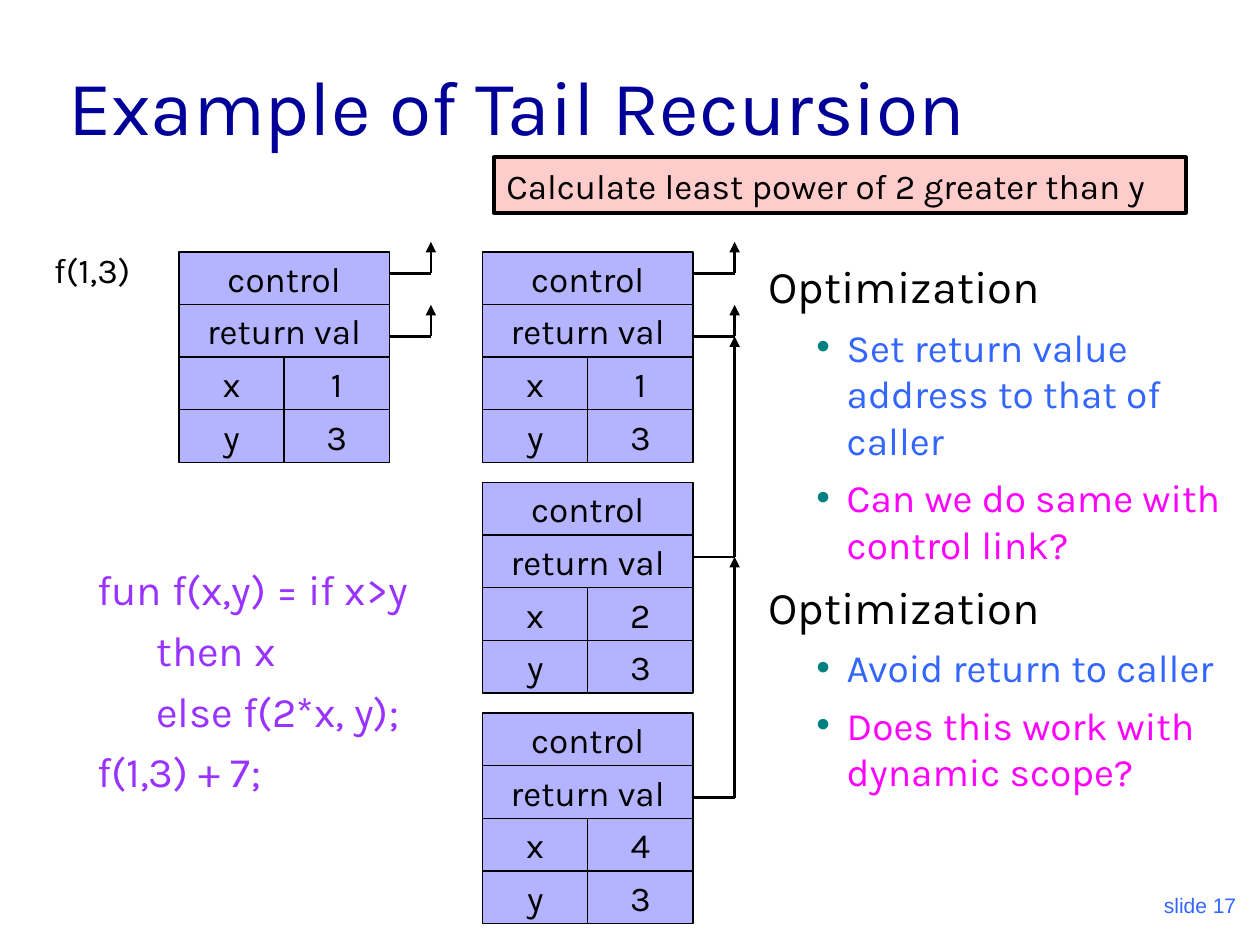
from lxml.etree import SubElement
from pptx import Presentation
from pptx.dml.color import RGBColor
from pptx.enum.shapes import MSO_CONNECTOR, MSO_SHAPE
from pptx.enum.text import MSO_ANCHOR, MSO_AUTO_SIZE, PP_ALIGN
from pptx.oxml.ns import qn
from pptx.util import Inches, Pt

BLACK, BLUE, MAGENTA, PURPLE = "000000", "3366FF", "FF00FF", "9933FF"


def rgb(color):
    return RGBColor.from_string(color)


def style(paragraph, size, color, font="Karla", align=PP_ALIGN.LEFT, before=0):
    paragraph.alignment = align
    paragraph.space_before = Pt(before)
    paragraph.font.size = Pt(size)
    paragraph.font.name = font
    paragraph.font.color.rgb = rgb(color)


def place(part, left, top, width, height):
    part.left, part.top = Inches(left), Inches(top)
    part.width, part.height = Inches(width), Inches(height)
    part.text_frame.auto_size = MSO_AUTO_SIZE.NONE


def indent(paragraph, margin, first=0.0, bullet=None):
    properties = paragraph._p.get_or_add_pPr()
    properties.set("marL", str(Inches(margin)))
    properties.set("indent", str(Inches(first)))
    if bullet:
        bullet_color = SubElement(properties, qn("a:buClr"))
        SubElement(bullet_color, qn("a:srgbClr"), val=bullet)
        SubElement(properties, qn("a:buChar"), char="•")
    else:
        SubElement(properties, qn("a:buNone"))


def paragraphs(frame, texts):
    frame.text = "\n".join(texts)
    return frame.paragraphs


def add_heading(title, left, top, width, height):
    place(title, left, top, width, height)
    title.text_frame.text = "Example of Tail Recursion"
    title.text_frame.vertical_anchor = MSO_ANCHOR.BOTTOM
    style(title.text_frame.paragraphs[0], 44, "000099")


def add_code(body, lines, left, top, width, height):
    place(body, left, top, width, height)
    code = paragraphs(body.text_frame, [text for text, _ in lines])
    for line, (_, depth) in zip(code, lines):
        indent(line, 0.5 + 0.47 * depth)
        style(line, 24, PURPLE, before=6)


def add_optimizations(body, sections, left, top, width, height):
    place(body, left, top, width, height)
    entries = [
        entry
        for idea, question in sections
        for entry in (("Optimization", BLACK), (idea, BLUE), (question, MAGENTA))
    ]
    items = paragraphs(body.text_frame, [text for text, _ in entries])
    for item, (_, color) in zip(items, entries):
        if color == BLACK:
            indent(item, 0.19, -0.19)
            style(item, 25.9, color, before=7)
        else:
            item.level = 1
            indent(item, 0.62, -0.24, "008080")
            style(item, 22.2, color, before=6)


def add_label(slide, text, left, top, width, height, size=20, color=BLACK,
              font="Karla", align=PP_ALIGN.LEFT, anchor=MSO_ANCHOR.TOP):
    label = slide.shapes.add_textbox(
        Inches(left), Inches(top), Inches(width), Inches(height))
    label.text_frame.word_wrap = True
    label.text_frame.vertical_anchor = anchor
    label.text_frame.text = text
    style(label.text_frame.paragraphs[0], size, color, font, align)


def add_box(slide, text, left, top, width, height, fill="B3B3FF",
            border=0.74, align=PP_ALIGN.CENTER):
    box = slide.shapes.add_shape(
        MSO_SHAPE.RECTANGLE, Inches(left), Inches(top), Inches(width), Inches(height))
    box.shadow.inherit = False
    box.fill.solid()
    box.fill.fore_color.rgb = rgb(fill)
    box.line.color.rgb = rgb(BLACK)
    box.line.width = Pt(border)
    box.text_frame.word_wrap = False
    box.text_frame.vertical_anchor = MSO_ANCHOR.MIDDLE
    box.text_frame.text = text
    style(box.text_frame.paragraphs[0], 20, BLACK, align=align)


def add_activation_record(slide, x, y, left, top, width, height):
    rows = [["control"], ["return val"], ["x", x], ["y", y]]
    row_height = height / len(rows)
    for row, cells in enumerate(rows):
        cell_width = width / len(cells)
        for column, text in enumerate(cells):
            add_box(slide, text, left + column * cell_width,
                    top + row * row_height, cell_width, row_height)


def add_line(slide, start, end, arrow=False):
    line = slide.shapes.add_connector(
        MSO_CONNECTOR.STRAIGHT, *(Inches(value) for value in (*start, *end)))
    line.line.color.rgb = rgb(BLACK)
    line.line.width = Pt(1.5)
    if arrow:
        SubElement(line.line._get_or_add_ln(), qn("a:tailEnd"), type="triangle")
    SubElement(line._element.spPr, qn("a:effectLst"))


def add_link(slide, left, level, target):
    corner = (left + 0.33, level)
    add_line(slide, (left, level), corner)
    add_line(slide, corner, (corner[0], target), arrow=True)


def build_slide(presentation):
    slide = presentation.slides.add_slide(presentation.slide_layouts[3])
    title, code, optimizations = slide.placeholders
    add_label(slide, "slide 17", 7.83, 6.83, 2.08, 0.5, 12, BLUE, "Arial",
              PP_ALIGN.RIGHT, MSO_ANCHOR.BOTTOM)
    add_heading(title, 0.44, 0.25, 9.06, 1)
    add_code(code, [("fun f(x,y) = if x>y", 0), ("then x", 1),
                    ("else f(2*x, y);", 1), ("f(1,3) + 7;", 0)],
             0.17, 4.42, 3.83, 2.33)
    add_optimizations(optimizations, [
        ("Set return value address to that of caller",
         "Can we do same with control link?"),
        ("Avoid return to caller", "Does this work with dynamic scope?"),
    ], 6, 2, 3.83, 5.25)

    side, first_left, stack_left, top, pitch = 1.67, 1.42, 3.83, 2, 1.83
    add_activation_record(slide, "1", "3", first_left, top, side, side)
    for call, x in enumerate(("1", "2", "4")):
        add_activation_record(
            slide, x, "3", stack_left, top + call * pitch, side, side)
    for left in (first_left, stack_left):
        for level in (2.17, 2.67):
            add_link(slide, left + side, level, level - 0.25)
    for level, target in ((4.42, 2.67), (6.33, 4.42)):
        add_link(slide, stack_left + side, level, target)

    add_label(slide, "f(1,3)", 0.33, 1.92, 1.25, 0.44)
    add_box(slide, "Calculate least power of 2 greater than y",
            3.92, 1.25, 5.49, 0.44, "FFCCCC", 2.24, PP_ALIGN.LEFT)


presentation = Presentation()
presentation.slide_width, presentation.slide_height = Inches(10), Inches(7.5)
build_slide(presentation)
presentation.save("out.pptx")
